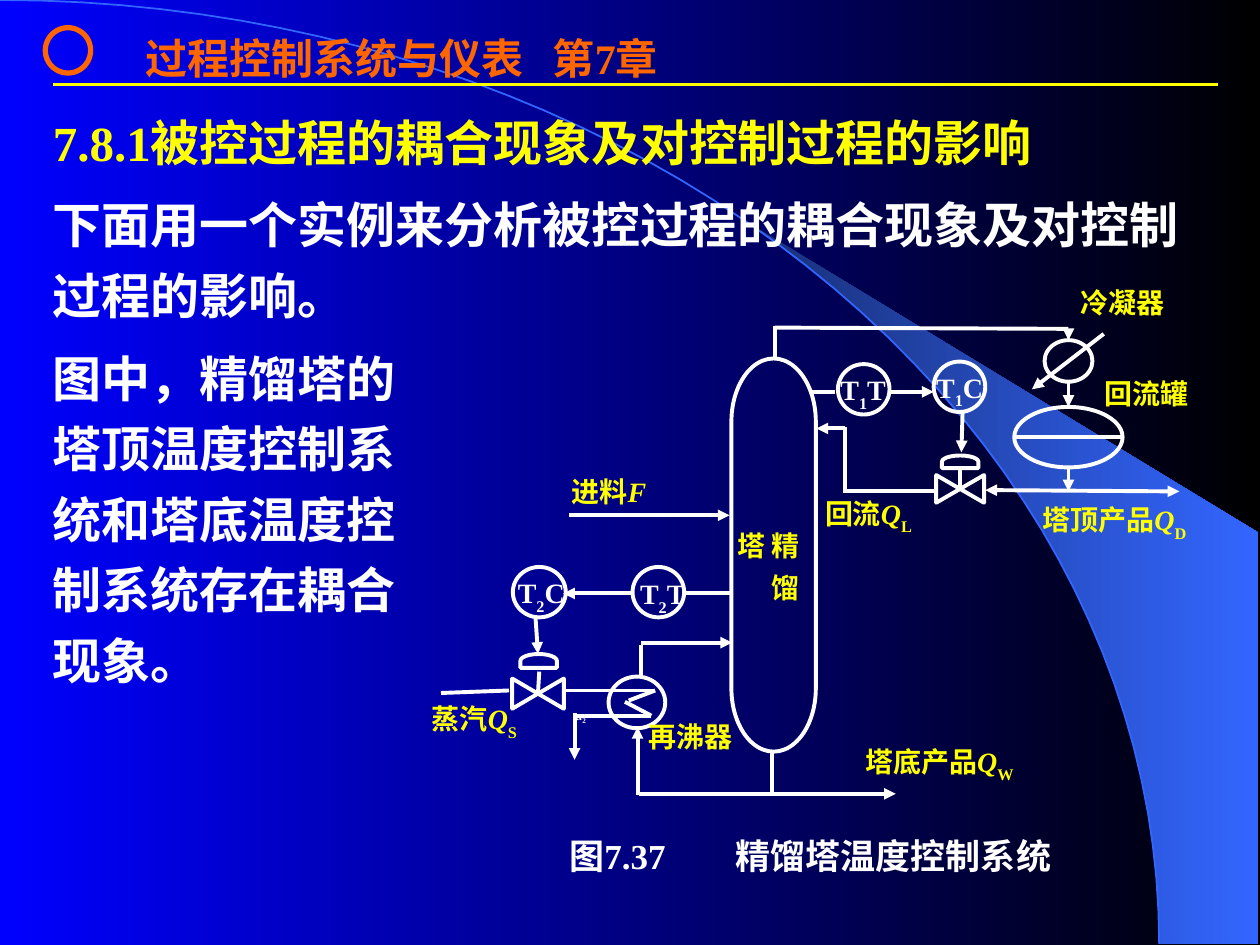
import math
from pptx import Presentation
from pptx import util as u
from pptx.dml import color
from pptx.enum import shapes, text
from pptx.oxml import ns
from lxml import etree

YELLOW, WHITE, ORANGE, BLUE = "FFFF00", "FFFFFF", "FF6600", "3366FF"


def paint(fill, *hues):
    if len(hues) == 1:
        fill.solid()
        fill.fore_color.rgb = color.RGBColor.from_string(hues[0])
    else:
        fill.gradient()
        fill.gradient_angle = 0
        for stop, hue in zip(fill.gradient_stops, hues):
            stop.color.rgb = color.RGBColor.from_string(hue)


def write(box, words, size=16, hue=YELLOW, align="LEFT", leading=1.0, tab=None,
          inset=(1, 0.5, 1, 0.5), vertical=False, spread=0):
    frame = box.text_frame
    frame.word_wrap = True
    frame.auto_size = text.MSO_AUTO_SIZE.NONE
    frame.vertical_anchor = text.MSO_ANCHOR.TOP
    (frame.margin_left, frame.margin_top, frame.margin_right,
     frame.margin_bottom) = (round(cell * gap) for gap in inset)
    if vertical:
        frame._txBody.bodyPr.set("vert", "eaVert")
    line = frame.paragraphs[0]
    settings = line._p.get_or_add_pPr()
    if box.is_placeholder:
        settings.set("marL", "0")
        settings.set("indent", "0")
        etree.SubElement(settings, ns.qn("a:buNone"))
    if tab:
        stops = etree.SubElement(settings, ns.qn("a:tabLst"))
        etree.SubElement(stops, ns.qn("a:tab"), pos=str(round(cell * tab)), algn="l")
    line.alignment = text.PP_ALIGN[align]
    line.line_spacing = leading
    line.space_before = u.Pt(0)
    for piece in words.split("|"):
        run = line.add_run()
        run.text = piece.lstrip("/_")
        run.font.name = "Times New Roman"
        run.font.size = u.Pt(size)
        run.font.bold = True
        run.font.italic = piece.startswith("/")
        paint(run.font.fill, hue)
        if piece.startswith("_"):
            run.font._element.set("baseline", "-30000")
        if spread:
            run.font._element.set("spc", str(spread * 100))


deck = Presentation()
deck.slide_width, deck.slide_height = u.Inches(10), u.Inches(7.5)
cell = deck.slide_width / 100
slide = deck.slides.add_slide(deck.slide_layouts[3])
canvas = slide.shapes
paint(slide.background.fill, "0000FF", "000000")

arc = [(92 * math.sin(math.radians(a)), 74.9 * (1 - math.cos(math.radians(a))))
       for a in range(0, 91, 2)]
for outline, closed in ((arc[20:] + [(99.9, 74.9), (99.9, 42.3)], True), (arc, False)):
    points = [(round(cell * x), round(cell * y)) for x, y in outline]
    pen = canvas.build_freeform(*points[0])
    pen.add_line_segments(points[1:], close=closed)
    sweep = pen.convert_to_shape()
    sweep.shadow.inherit = False
    if closed:
        paint(sweep.fill, "182F76", BLUE)
        sweep.line.fill.background()
    else:
        sweep.fill.background()
        paint(sweep.line.fill, BLUE)
        sweep.line.width = u.Pt(1)

passages = [
    ((3.2, 7.5, 92.5, 6.6), "7.8.1被控过程的耦合现象及对控制过程的影响", YELLOW),
    ((3.2, 14.03, 92.5, 12.2), "下面用一个实例来分析被控过程的耦合现象及对控制过程的影响。", WHITE),
    ((3.2, 26.2, 31, 29), "图中，精馏塔的塔顶温度控制系统和塔底温度控制系统存在耦合现象。", WHITE),
]
for holder, (place, words, hue) in zip(list(slide.placeholders), passages):
    holder.left, holder.top, holder.width, holder.height = (round(cell * v) for v in place)
    write(holder, words, size=28, hue=hue, leading=1.2)
    canvas._spTree.append(holder._element)

outlines = [
    ("OVAL", 0, ORANGE, 3, [(3.6, 2.2, 3.6, 3.6)]),
    ("FLOWCHART_TERMINATOR", 270, WHITE, 2.25, [(45.8, 40.7, 31.2, 6.7)]),
    ("FLOWCHART_COLLATE", 270, WHITE, 2.25, [(41.5, 53, 2.4, 4.1), (75.1, 36.9, 2.2, 3.8)]),
    ("FLOWCHART_DELAY", 270, WHITE, 2.25, [(42.2, 51, 1.1, 2.9), (75.7, 35.2, 1, 2.9)]),
    ("OVAL", 0, WHITE, 2.25, [
        (48.3, 53.7, 4.5, 4.1), (80.5, 32.3, 8.6, 4.8), (82.9, 27, 3.8, 3.3),
        (40.7, 45, 4.2, 4), (50.2, 45, 4.1, 4), (74.1, 28.7, 4.1, 4), (66.5, 28.9, 4.1, 4)]),
]
for kind, turn, hue, weight, places in outlines:
    for place in places:
        part = canvas.add_shape(shapes.MSO_SHAPE[kind], *(round(cell * v) for v in place))
        part.rotation = turn
        part.shadow.inherit = False
        part.fill.background()
        paint(part.line.fill, hue)
        part.line.width = u.Pt(weight)

pipes = [
    ((), YELLOW, 1.5, [(4.2, 6.7, 96.7, 6.7)]),
    ((), WHITE, 2.25, [
        (61.5, 28.4, 61.5, 25.9), (61.5, 26, 84.8, 26.1), (67.1, 33.9, 67.1, 39.1),
        (51.7, 56.8, 45.5, 56.8), (51.8, 54.8, 44.8, 54.8), (51.7, 56.8, 49.6, 55.7),
        (52, 54.8, 49.9, 55.6), (61.3, 59.7, 61.3, 63), (50.9, 53.7, 50.9, 51.2),
        (42.7, 55, 42.8, 53.3), (54.2, 47.1, 58.1, 47.1), (35, 55, 40.4, 54.8),
        (67.1, 39, 74.3, 39), (64.4, 31.1, 66.3, 31.1), (76.2, 39, 76.2, 37),
        (80.5, 34.7, 89, 34.7)]),
    (("tailEnd",), WHITE, 2.25, [
        (67.1, 34, 64.8, 34), (45.2, 40.9, 57.9, 40.9), (45.6, 56.6, 45.6, 60.3),
        (50.6, 63.1, 50.6, 57.7), (50.7, 63, 71.1, 63), (50.9, 51, 58.1, 51),
        (42.5, 49, 42.7, 51.9), (50.2, 47.1, 44.7, 47.1), (76.4, 32.7, 76.3, 35.9),
        (70.5, 31.1, 74.1, 31.1), (87.6, 26.5, 81.9, 30.9), (84.8, 26.1, 84.8, 27),
        (84.8, 37, 84.8, 39), (84.8, 30.4, 84.8, 32.3)]),
    (("headEnd", "tailEnd"), WHITE, 2.25, [(78.2, 38.9, 93.6, 39)]),
]
for arrows, hue, weight, runs in pipes:
    for ends in runs:
        pipe = canvas.add_connector(shapes.MSO_CONNECTOR.STRAIGHT,
                                    *(round(cell * v) for v in ends))
        paint(pipe.line.fill, hue)
        pipe.line.width = u.Pt(weight)
        for arrow in arrows:
            etree.SubElement(pipe.line._get_or_add_ln(), ns.qn("a:" + arrow), type="triangle")
        etree.SubElement(pipe._element.spPr, ns.qn("a:effectLst"))

tag = dict(hue=WHITE, inset=(1.5, 0.5, 0.5, 0.5))
labels = [
    ((10.6, 2.1, 60, 4.6), "过程控制系统与仪表\t第7章", dict(size=24, hue=ORANGE, tab=32.3)),
    ((44.2, 65.7, 43.6, 5), "图7.37\t精馏塔温度控制系统", dict(size=20, hue=WHITE, tab=13.2)),
    ((50.4, 56.6, 8.8, 4), "再沸器", dict(align="CENTER")),
    ((64.5, 38.9, 9.1, 3.6), "回流|/Q|_L", {}),
    ((67.7, 58.6, 15.6, 3.9), "塔底产品|/Q|_W", {}),
    ((58.1, 41.2, 6, 10.5), "精馏塔", dict(inset=(0.5, 1, 0.5, 1), vertical=True, spread=8)),
    ((39.6, 45.2, 6.5, 3.6), "T|_2|C", tag),
    ((49.3, 45.3, 6.7, 3.4), "T|_2|T", tag),
    ((72.8, 28.9, 6.6, 3.5), "T|_1|C", tag),
    ((65.2, 29.1, 6.6, 3.5), "T|_1|T", tag),
    ((33.3, 55.2, 9.4, 4), "蒸汽|/Q|_S", {}),
    ((44.4, 37.2, 8.3, 4), "进料|/F", {}),
    ((80.9, 39.4, 15.1, 3.9), "塔顶产品|/Q|_D", dict(align="CENTER")),
    ((44.7, 55.7, 2.9, 2.4), "/u|_2", dict(size=7, hue=WHITE)),
    ((84.8, 22.2, 8.8, 4), "冷凝器", {}),
    ((86.7, 29.4, 8.8, 4), "回流罐", {}),
]
for place, words, style in labels:
    write(canvas.add_textbox(*(round(cell * v) for v in place)), words, **style)

deck.save("out.pptx")
